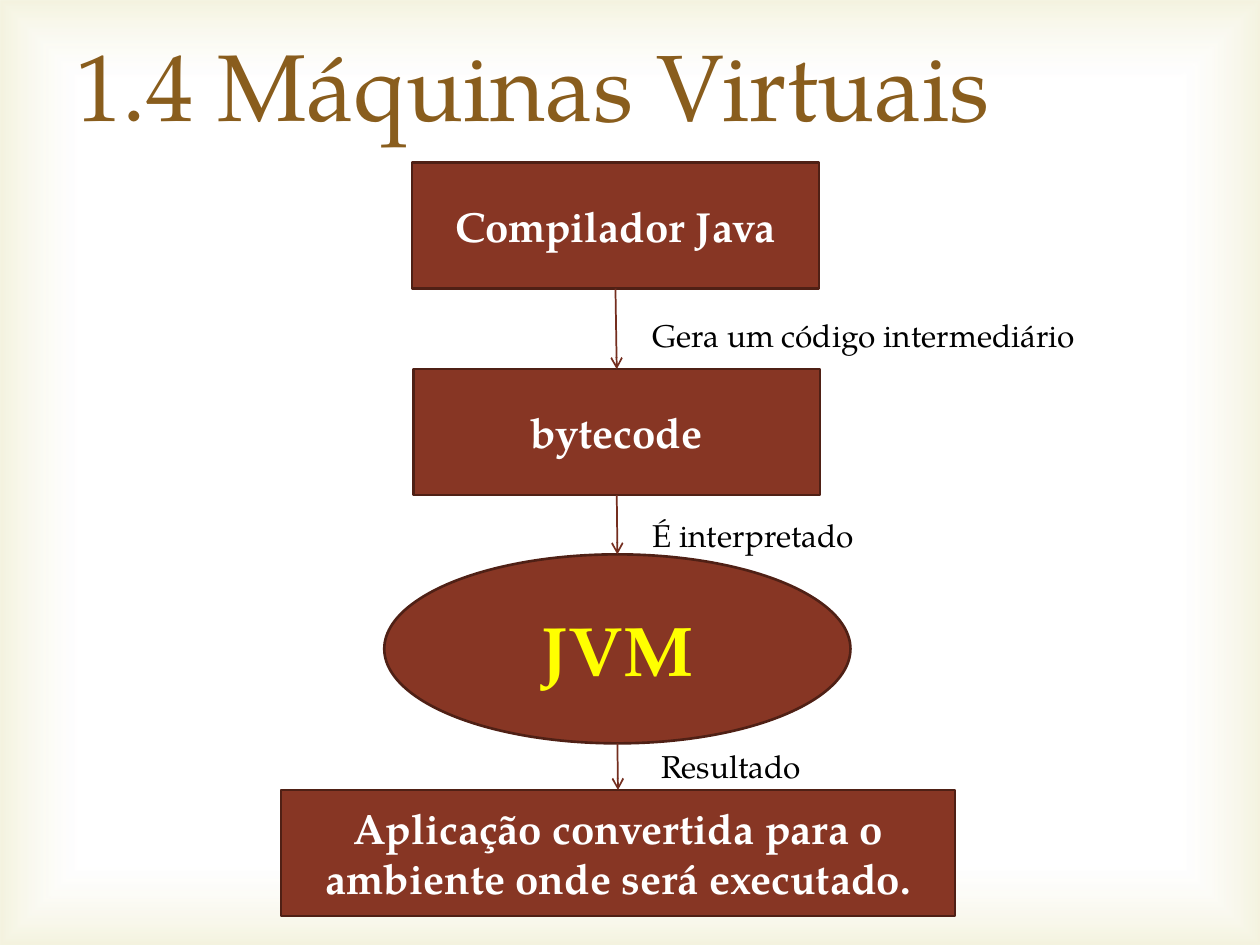
"""Builds the slide on virtual machines: a flow from compiler to application."""
from dataclasses import dataclass
from itertools import pairwise

from lxml import etree
from pptx import Presentation
from pptx import util as u
from pptx.dml import color
from pptx.enum import shapes, text
from pptx.oxml import ns

FONT = "TeX Gyre Pagella"
FILL, EDGE, ARROW = "873624", "4F2015", "742E1F"
WHITE, BLACK, YELLOW, GOLD = "FFFFFF", "000000", "FFFF00", "895D1D"
RECT, OVAL = shapes.MSO_SHAPE.RECTANGLE, shapes.MSO_SHAPE.OVAL
GLOW = [(0, WHITE, 11), (83, WHITE, 11), (100, "D1CA75", 23)]


@dataclass
class Node:
    label: str
    left: float
    top: float
    width: float
    height: float = 1
    kind: int = RECT
    size: int = 24
    ink: str = WHITE

    @property
    def middle(self) -> float:
        return self.left + self.width / 2


@dataclass
class Caption:
    label: str
    left: float
    top: float
    width: float
    height: float = 0.4
    size: int = 18
    ink: str = BLACK
    wrap: bool = False
    anchor: int = text.MSO_ANCHOR.TOP


NODES = [
    Node("Compilador Java", 3.27, 1.29, 3.23),
    Node("bytecode", 3.28, 2.93, 3.23),
    Node("JVM", 3.05, 4.4, 3.7, 1.5, OVAL, 40, YELLOW),
    Node("Aplicação convertida para o ambiente onde será executado.", 2.23, 6.27, 5.35),
]
CAPTIONS = [
    Caption("1.4 Máquinas Virtuais", 0.5, 0.04, 9, 1.25, 54, GOLD, True, text.MSO_ANCHOR.MIDDLE),
    Caption("Gera um código intermediário", 5.08, 2.46, 3.6),
    Caption("É interpretado", 5.08, 4.05, 1.88),
    Caption("Resultado", 5.15, 5.88, 1.33),
]


def rgb(value: str) -> color.RGBColor:
    return color.RGBColor.from_string(value)


def inches(*values: float) -> list:
    return [u.Inches(v) for v in values]


def set_line(line, value: str, width: float) -> None:
    line.color.rgb = rgb(value)
    line.width = u.Pt(width)


def write(tf, item, align: int, bold: bool, **frame) -> None:
    for name, value in frame.items():
        setattr(tf, name, value)
    p = tf.paragraphs[0]
    p.alignment = align
    r = p.add_run()
    r.text = item.label
    for name, value in {"name": FONT, "size": u.Pt(item.size), "bold": bold}.items():
        setattr(r.font, name, value)
    r.font.color.rgb = rgb(item.ink)


def add_glow(s, width: int, height: int) -> None:
    sp = s.shapes.add_shape(RECT, 0, 0, width, height)
    sp.shadow.inherit = False
    sp.line.fill.background()
    grad = etree.Element(ns.qn("a:gradFill"), rotWithShape="1")
    stops = etree.SubElement(grad, ns.qn("a:gsLst"))
    for pos, value, alpha in GLOW:
        gs = etree.SubElement(stops, ns.qn("a:gs"), pos=str(pos * 1000))
        clr = etree.SubElement(gs, ns.qn("a:srgbClr"), val=value)
        etree.SubElement(clr, ns.qn("a:alpha"), val=str(alpha * 1000))
    way = etree.SubElement(grad, ns.qn("a:path"), path="rect")
    etree.SubElement(way, ns.qn("a:fillToRect"), dict.fromkeys("ltrb", "50000"))
    sp.element.spPr.find(ns.qn("a:prstGeom")).addnext(grad)


def add_node(s, node: Node) -> None:
    sp = s.shapes.add_shape(node.kind, *inches(node.left, node.top, node.width, node.height))
    sp.shadow.inherit = False
    sp.fill.solid()
    sp.fill.fore_color.rgb = rgb(FILL)
    set_line(sp.line, EDGE, 1.5)
    write(sp.text_frame, node, text.PP_ALIGN.CENTER, True,
          word_wrap=True, vertical_anchor=text.MSO_ANCHOR.MIDDLE)


def add_arrow(s, start: Node, end: Node) -> None:
    ends = inches(start.middle, start.top + start.height, end.middle, end.top)
    sp = s.shapes.add_connector(shapes.MSO_CONNECTOR.STRAIGHT, *ends)
    set_line(sp.line, ARROW, 1)
    etree.SubElement(sp.line._get_or_add_ln(), ns.qn("a:tailEnd"), type="arrow")
    etree.SubElement(sp.element.spPr, ns.qn("a:effectLst"))


def add_caption(s, item: Caption) -> None:
    sp = s.shapes.add_textbox(*inches(item.left, item.top, item.width, item.height))
    write(sp.text_frame, item, text.PP_ALIGN.LEFT, False,
          word_wrap=item.wrap, vertical_anchor=item.anchor)


def main() -> None:
    prs = Presentation()
    prs.slide_width, prs.slide_height = inches(10, 7.5)
    s = prs.slides.add_slide(prs.slide_layouts[6])
    add_glow(s, prs.slide_width, prs.slide_height)
    for node in NODES:
        add_node(s, node)
    for start, end in pairwise(NODES):
        add_arrow(s, start, end)
    for item in CAPTIONS:
        add_caption(s, item)
    prs.save("out.pptx")


if __name__ == "__main__":
    main()
